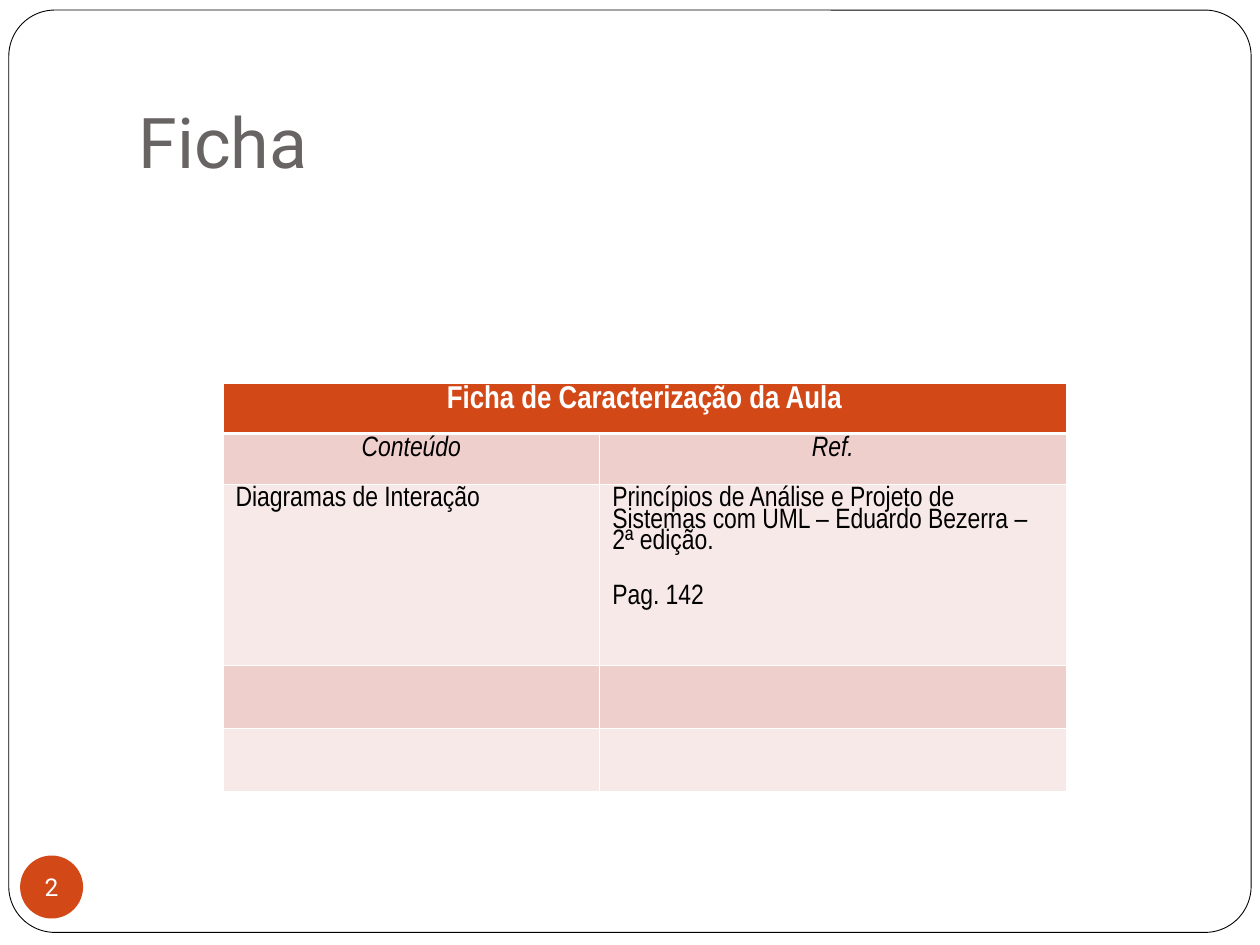
from lxml import etree
from pptx import Presentation
from pptx import util as u
from pptx.dml.color import RGBColor
from pptx.enum import shapes, text
from pptx.oxml.ns import qn

COLORS = {
    "white": "FFFFFF",
    "black": "000000",
    "title": "696464",
    "accent": "D34817",
    "band_dark": "EFCFCC",
    "band_light": "F7E9E7",
}
TITLE_FONT, TABLE_FONT = "Roboto", "Arial Narrow"
THIN, THICK = 0.45, 1.47
COLUMN_WIDTHS = [2.99, 3.7]
ROW_HEIGHTS = [0.4, 0.4, 1.44, 0.5, 0.5]
HEADING = "Ficha de Caracterização da Aula"
COLUMN_NAMES = ["Conteúdo", "Ref."]
CONTENT = [
    ["Diagramas de Interação"],
    ["Princípios de Análise e Projeto de Sistemas com UML – Eduardo Bezerra – 2ª edição.",
     "Pag. 142"],
]


def color(name):
    return RGBColor.from_string(COLORS[name])


def set_fill(target, name):
    target.fill.solid()
    target.fill.fore_color.rgb = color(name)


def set_font(para, name, size, shade, bold=False, italic=False):
    font = para.font
    font.name, font.size = name, u.Pt(size)
    font.bold, font.italic = bold, italic
    font.color.rgb = color(shade)


def add_frame(slide):
    """Rounded page border, placed behind everything else."""
    frame = slide.shapes.add_shape(
        shapes.MSO_SHAPE.ROUNDED_RECTANGLE,
        u.Inches(0.07), u.Inches(0.08), u.Inches(9.86), u.Inches(7.32))
    frame.adjustments[0] = 0.05
    frame.shadow.inherit = False
    set_fill(frame, "white")
    frame.line.color.rgb = color("black")
    frame.line.width = u.Pt(0.5)
    slide.shapes._spTree.insert(2, frame._element)


def set_title(slide, words):
    title = slide.shapes.title
    title.left, title.top = u.Inches(1), u.Inches(0.3)
    title.width, title.height = u.Inches(8.5), u.Inches(1.25)
    box = title.text_frame
    box.text = words
    box.auto_size = text.MSO_AUTO_SIZE.NONE
    box.vertical_anchor = text.MSO_ANCHOR.BOTTOM
    box.margin_bottom = u.Inches(0.1)
    para = box.paragraphs[0]
    para.alignment = text.PP_ALIGN.LEFT
    set_font(para, TITLE_FONT, 40, "title")


def add_page_number(slide, number):
    badge = slide.shapes.add_shape(
        shapes.MSO_SHAPE.OVAL,
        u.Inches(0.16), u.Inches(6.79), u.Inches(0.5), u.Inches(0.5))
    badge.shadow.inherit = False
    set_fill(badge, "accent")
    badge.line.fill.background()
    box = badge.text_frame
    box.margin_left = box.margin_right = box.margin_top = box.margin_bottom = 0
    box.word_wrap = False
    box.vertical_anchor = text.MSO_ANCHOR.MIDDLE
    box.text = number
    para = box.paragraphs[0]
    para.alignment = text.PP_ALIGN.CENTER
    set_font(para, TITLE_FONT, 14, "white")


def set_borders(cell, top, bottom):
    """White lines on all four sides; they must come before the cell's fill."""
    properties = cell._tc.get_or_add_tcPr()
    widths = {"lnL": THIN, "lnR": THIN, "lnT": top, "lnB": bottom}
    for index, (side, width) in enumerate(widths.items()):
        line = etree.Element(qn(f"a:{side}"), w=str(u.Pt(width)))
        fill = etree.SubElement(line, qn("a:solidFill"))
        etree.SubElement(fill, qn("a:srgbClr"), val=COLORS["white"])
        properties.insert(index, line)


def write_cell(cell, lines, size=16, shade="black", centred=False, **style):
    box = cell.text_frame
    box.text = "\n".join(lines)
    for index, para in enumerate(box.paragraphs):
        para.alignment = text.PP_ALIGN.CENTER if centred else text.PP_ALIGN.LEFT
        para.line_spacing = 0.8
        if index:
            para.space_before = u.Pt(19.5)
        set_font(para, TABLE_FONT, size, shade, **style)


def add_lesson_table(slide):
    table = slide.shapes.add_table(
        len(ROW_HEIGHTS), len(COLUMN_WIDTHS), u.Inches(1.77), u.Inches(3.04),
        u.Inches(sum(COLUMN_WIDTHS)), u.Inches(sum(ROW_HEIGHTS))).table
    for column, width in zip(table.columns, COLUMN_WIDTHS):
        column.width = u.Inches(width)
    for index, (row, height) in enumerate(zip(table.rows, ROW_HEIGHTS)):
        row.height = u.Inches(height)
        band = "band_dark" if index % 2 else "band_light"
        for cell in row.cells:
            set_fill(cell, band if index else "accent")
            set_borders(cell, top=THICK if index == 1 else THIN,
                        bottom=THICK if index == 0 else THIN)
    heading = table.cell(0, 0)
    heading.merge(table.cell(0, 1))
    write_cell(heading, [HEADING], 18, "white", centred=True, bold=True)
    for column, (name, lines) in enumerate(zip(COLUMN_NAMES, CONTENT)):
        write_cell(table.cell(1, column), [name], centred=True, italic=True)
        write_cell(table.cell(2, column), lines)


def main():
    deck = Presentation()
    deck.slide_width, deck.slide_height = u.Inches(10), u.Inches(7.5)
    page = deck.slides.add_slide(deck.slide_layouts[5])
    add_frame(page)
    set_title(page, "Ficha")
    add_page_number(page, "2")
    add_lesson_table(page)
    deck.save("out.pptx")


if __name__ == "__main__":
    main()
